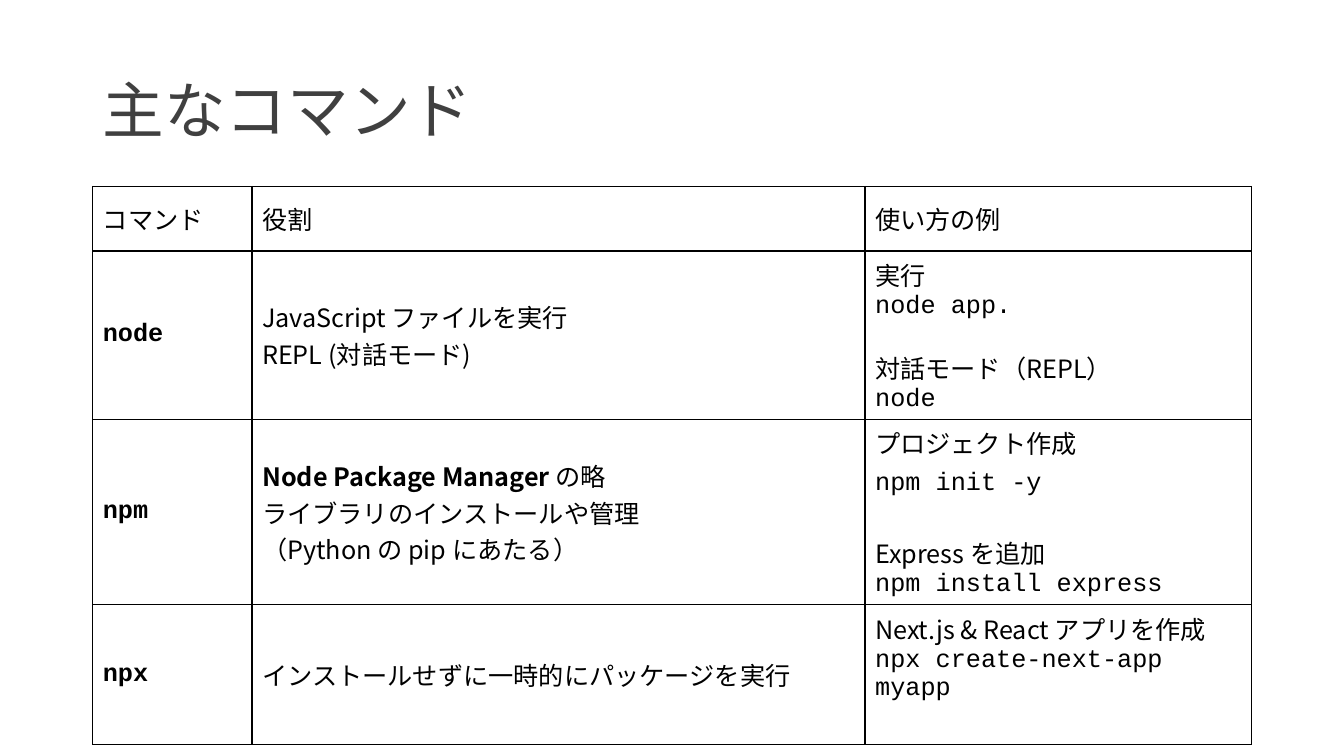
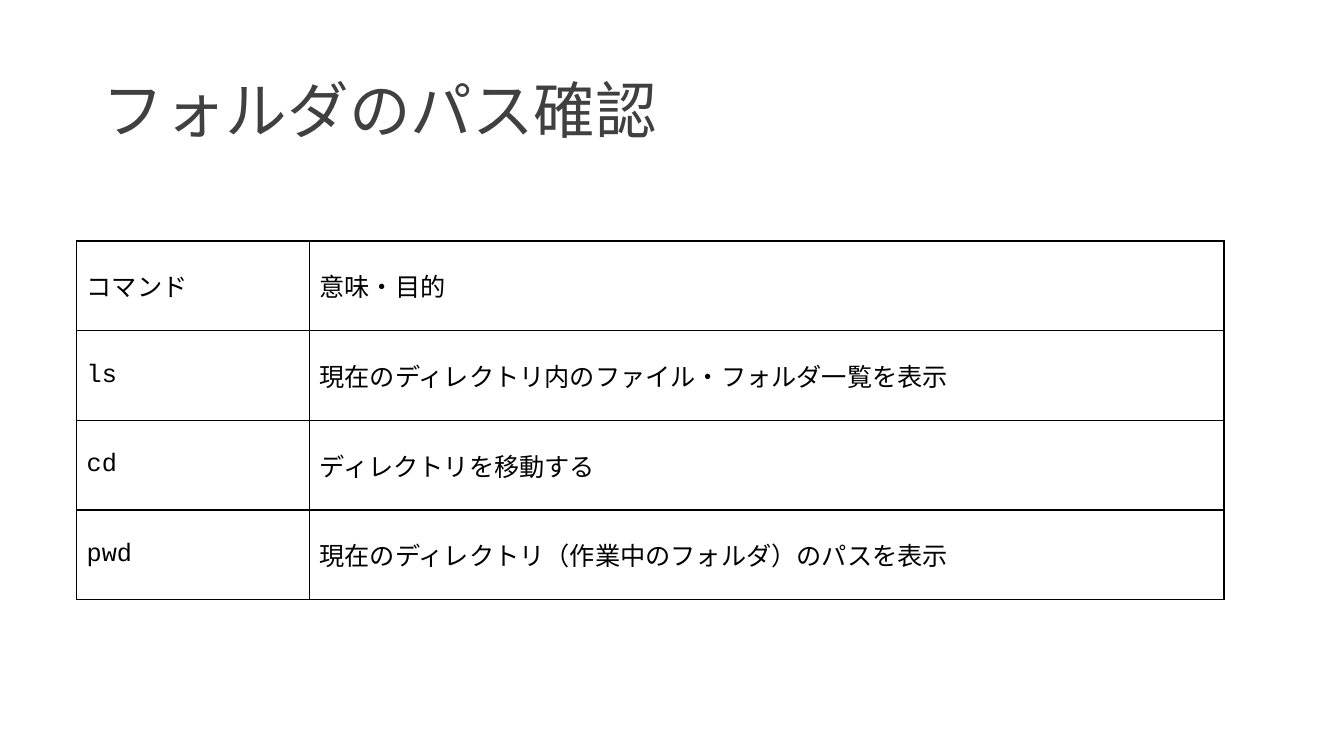
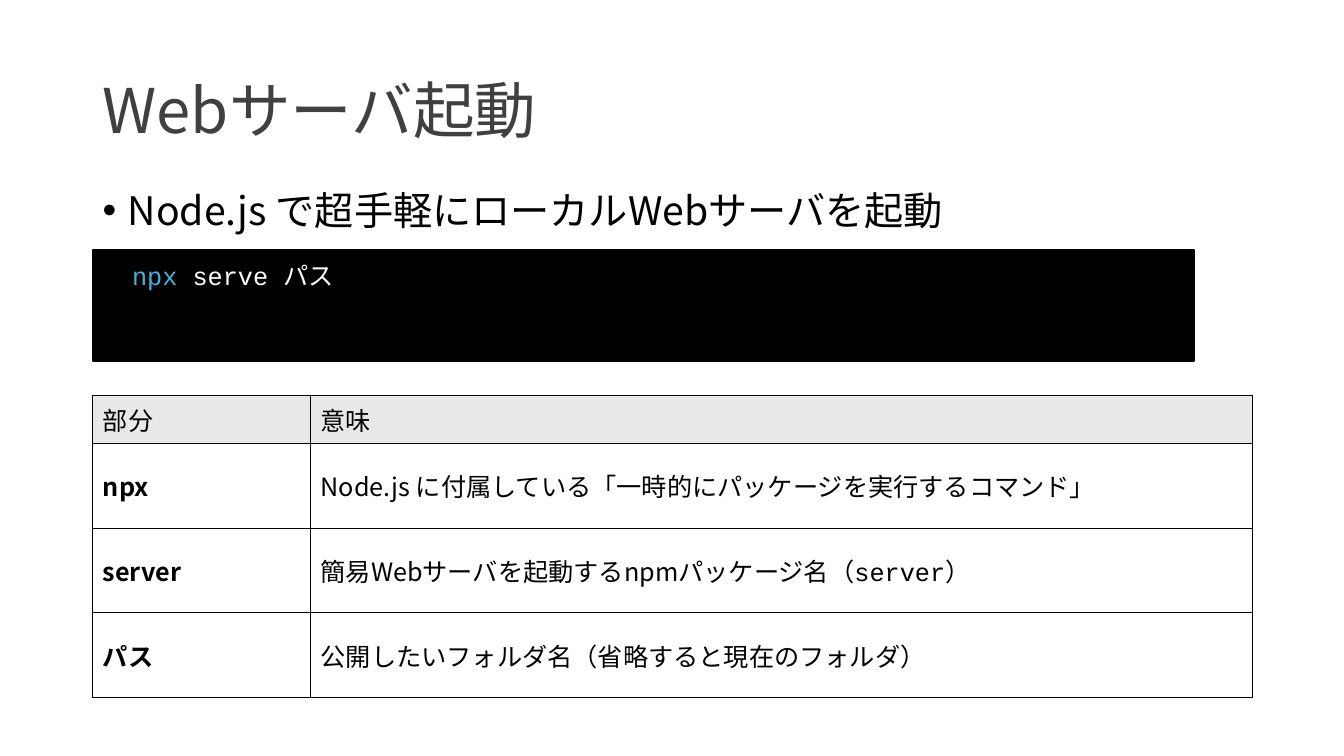
from dataclasses import dataclass

from lxml import etree
from pptx import Presentation
from pptx.dml.color import RGBColor
from pptx.enum.shapes import MSO_SHAPE
from pptx.enum.text import MSO_ANCHOR
from pptx.oxml.ns import qn
from pptx.util import Inches, Pt

RECTANGLE = MSO_SHAPE.RECTANGLE
TOP = MSO_ANCHOR.TOP
MIDDLE = MSO_ANCHOR.MIDDLE

BLACK = RGBColor(0x00, 0x00, 0x00)
WHITE = RGBColor(0xFF, 0xFF, 0xFF)
TITLE_GRAY = RGBColor(0x40, 0x40, 0x40)
HEADER_GRAY = RGBColor(0xE8, 0xE8, 0xE8)
COMMAND_BLUE = RGBColor(0x46, 0xB1, 0xE1)

SANS = "Noto Sans CJK JP"
MONO = "Courier New"
LEFT = 0.92
WIDTH = 11.5


@dataclass
class Span:
    text: str
    font: str = SANS
    bold: bool = False
    color: RGBColor = BLACK
    size: int = 18


@dataclass
class Line:
    """One paragraph; before is the space above it in points."""
    spans: list
    before: int = 0


def code(text, bold=False):
    return Span(text, MONO, bold)


def strong(text):
    return Span(text, bold=True)


def as_line(item):
    if isinstance(item, Line):
        return item
    return Line([Span(item) if isinstance(item, str) else item])


def write(frame, items):
    """Fill a text frame with one paragraph per string, Span or Line."""
    for index, item in enumerate(items):
        line = as_line(item)
        para = frame.add_paragraph() if index else frame.paragraphs[0]
        if line.before:
            para.space_before = Pt(line.before)
        for span in line.spans:
            run = para.add_run()
            run.text = span.text
            run.font.size = Pt(span.size)
            run.font.bold = span.bold
            run.font.color.rgb = span.color
            run.font.name = span.font
            east_asian = etree.SubElement(run.font._element, qn("a:ea"))
            east_asian.set("typeface", SANS)


def add_borders(cell):
    properties = cell._tc.get_or_add_tcPr()
    for index, side in enumerate(("lnL", "lnR", "lnT", "lnB")):
        border = etree.Element(qn(f"a:{side}"), w=str(Pt(1)))
        fill = etree.SubElement(border, qn("a:solidFill"))
        etree.SubElement(fill, qn("a:srgbClr"), val=str(BLACK))
        properties.insert(index, border)


class CommandDeck:
    def __init__(self):
        self.deck = Presentation()
        self.deck.slide_width = Inches(13.33)
        self.deck.slide_height = Inches(7.5)
        self.slide = None

    def new_slide(self, title):
        self.slide = self.deck.slides.add_slide(self.deck.slide_layouts[6])
        span = Span(title, color=TITLE_GRAY, size=44)
        self.text(0.4, 1.45, span, MIDDLE)

    def text(self, top, height, item, anchor=TOP):
        box = self.slide.shapes.add_textbox(
            Inches(LEFT), Inches(top), Inches(WIDTH), Inches(height))
        frame = box.text_frame
        frame.word_wrap = True
        frame.vertical_anchor = anchor
        write(frame, [item])
        para = frame.paragraphs[0]
        para.line_spacing = 0.9
        return para

    def bullet(self, top, height, text):
        line = Line([Span(text, size=28)], before=10)
        properties = self.text(top, height, line)._p.get_or_add_pPr()
        properties.set("marL", str(Inches(0.25)))
        properties.set("indent", str(Inches(-0.25)))
        etree.SubElement(properties, qn("a:buFont"), typeface="Arial")
        etree.SubElement(properties, qn("a:buChar"), char="•")

    def console(self, top, width, height, line):
        box = self.slide.shapes.add_shape(
            RECTANGLE, Inches(LEFT), Inches(top), Inches(width), Inches(height))
        box.shadow.inherit = False
        box.fill.solid()
        box.fill.fore_color.rgb = BLACK
        box.line.color.rgb = BLACK
        box.line.width = Pt(1.5)
        frame = box.text_frame
        frame.word_wrap = True
        frame.vertical_anchor = TOP
        frame.margin_left = Inches(0.39)
        frame.margin_top = Inches(0.1)
        write(frame, [line])
        frame.paragraphs[0].alignment = 1

    def table(self, left, top, widths, heights, rows, header_fill=None):
        """Draw a ruled table; a cell is one item or a list of paragraphs."""
        table = self.slide.shapes.add_table(
            len(rows), len(widths), Inches(left), Inches(top),
            Inches(sum(widths)), Inches(sum(heights))).table
        table.first_row = table.horz_banding = False
        for column, width in zip(table.columns, widths):
            column.width = Inches(width)
        for index, (row, height) in enumerate(zip(rows, heights)):
            table.rows[index].height = Inches(height)
            for cell, content in zip(table.rows[index].cells, row):
                items = content if isinstance(content, list) else [content]
                write(cell.text_frame, items)
                cell.vertical_anchor = MIDDLE
                if header_fill and index == 0:
                    cell.fill.solid()
                    cell.fill.fore_color.rgb = header_fill
                else:
                    cell.fill.background()
                add_borders(cell)
        return table


def main_commands(pages):
    pages.new_slide("主なコマンド")
    table = pages.table(
        LEFT, 1.85, [1.58, 6.08, 3.83], [0.64, 1.67, 1.84, 1.39], [
            ["コマンド", "役割", "使い方の例"],
            [code("node", True),
             ["JavaScript ファイルを実行", "REPL (対話モード)"],
             ["実行", code("node app."),
              Line([Span("対話モード（REPL）")], before=20), code("node")]],
            [code("npm", True),
             [Line([strong("Node Package Manager "), Span("の略")]),
              "ライブラリのインストールや管理", "（Python の pip にあたる）"],
             ["プロジェクト作成", Line([code("npm init -y")], before=6),
              Line([Span("Express を追加")], before=26),
              code("npm install express")]],
            [code("npx", True),
             "インストールせずに一時的にパッケージを実行",
             ["Next.js & React アプリを作成", code("npx create-next-app myapp")]],
        ])
    table.cell(3, 2).margin_bottom = Inches(0.41)


def folder_paths(pages):
    pages.new_slide("フォルダのパス確認")
    pages.table(0.76, 2.39, [2.31, 9.07], [0.89] * 4, [
        ["コマンド", "意味・目的"],
        [code("ls"), "現在のディレクトリ内のファイル・フォルダ一覧を表示"],
        [code("cd"), "ディレクトリを移動する"],
        [code("pwd"), "現在のディレクトリ（作業中のフォルダ）のパスを表示"],
    ])


def web_server(pages):
    pages.new_slide("Webサーバ起動")
    pages.bullet(1.85, 1.73, "Node.js で超手軽にローカルWebサーバを起動")
    pages.table(LEFT, 3.92, [2.16, 9.34], [0.48] + [0.84] * 3, [
        ["部分", "意味"],
        [strong("npx"),
         "Node.js に付属している「一時的にパッケージを実行するコマンド」"],
        [strong("server"),
         Line([Span("簡易Webサーバを起動するnpmパッケージ名（"),
               code("server"), Span("）")])],
        [strong("パス"), "公開したいフォルダ名（省略すると現在のフォルダ）"],
    ], HEADER_GRAY)
    pages.console(2.48, 10.92, 1.1, Line([
        Span("npx ", MONO, color=COMMAND_BLUE),
        Span("serve パス", MONO, color=WHITE)]))


def main():
    pages = CommandDeck()
    main_commands(pages)
    folder_paths(pages)
    web_server(pages)
    pages.deck.save("out.pptx")


if __name__ == "__main__":
    main()
